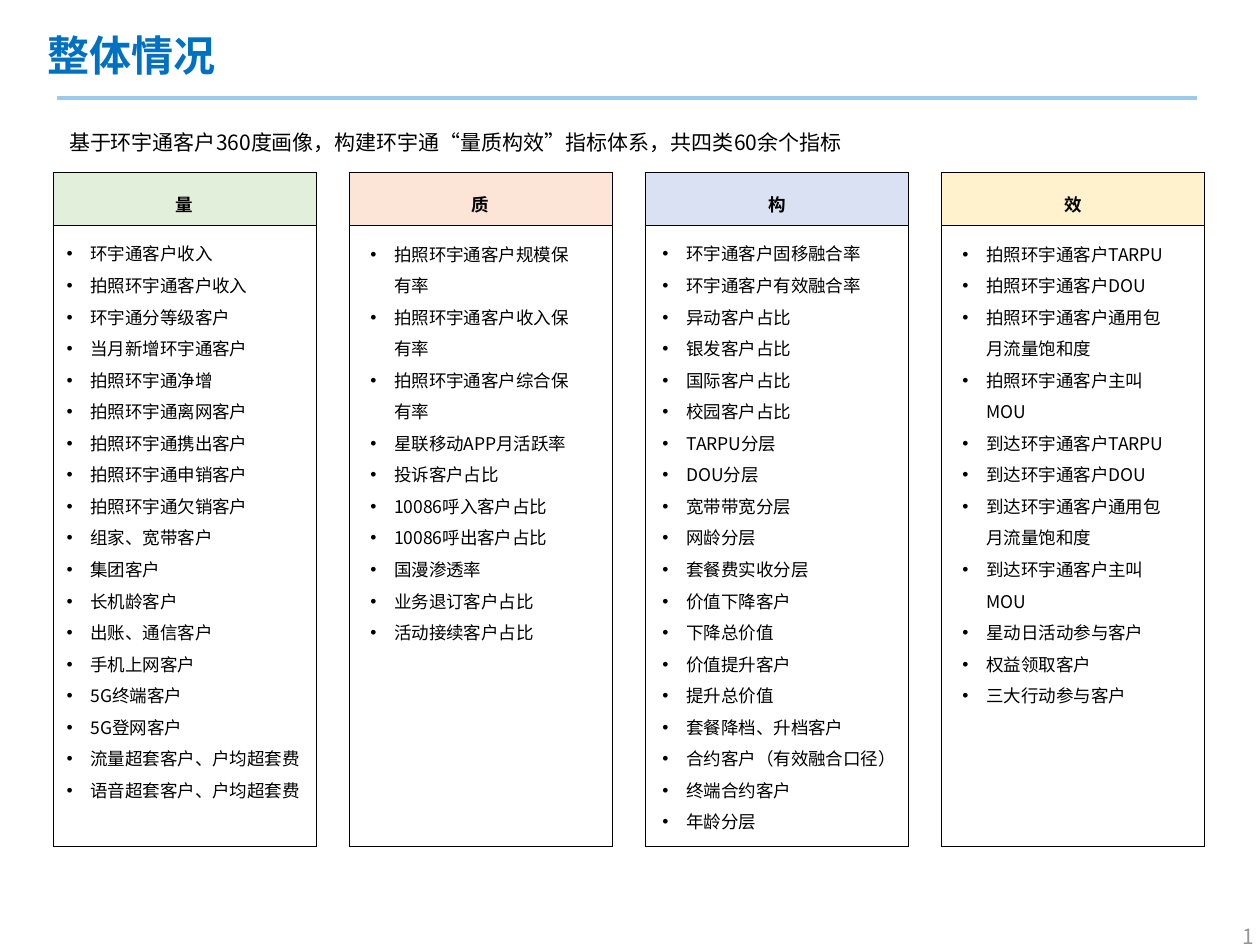
from lxml.etree import SubElement
from pptx import Presentation
from pptx.dml.color import RGBColor
from pptx.enum.shapes import MSO_CONNECTOR, MSO_SHAPE
from pptx.enum.text import MSO_ANCHOR, MSO_AUTO_SIZE, PP_ALIGN
from pptx.oxml.ns import qn
from pptx.util import Inches, Pt

COLORS = {
    "title": "0070C0", "rule": "9ACBEB", "text": "000000", "page": "969696",
    "white": "FFFFFF", "green": "E2EFDA", "orange": "FCE4D6",
    "blue": "D9E1F2", "yellow": "FFF2CC",
}

# Heading, header colour, list box (left, width, height), indicators
CATEGORIES = [
    ("量", "green", (0.43, 2.24, 4.64), [
        "环宇通客户收入", "拍照环宇通客户收入", "环宇通分等级客户", "当月新增环宇通客户",
        "拍照环宇通净增", "拍照环宇通离网客户", "拍照环宇通携出客户", "拍照环宇通申销客户",
        "拍照环宇通欠销客户", "组家、宽带客户", "集团客户", "长机龄客户", "出账、通信客户",
        "手机上网客户", "5G终端客户", "5G登网客户", "流量超套客户、户均超套费",
        "语音超套客户、户均超套费"]),
    ("质", "orange", (2.84, 1.81, 3.38), [
        "拍照环宇通客户规模保有率", "拍照环宇通客户收入保有率", "拍照环宇通客户综合保有率",
        "星联移动APP月活跃率", "投诉客户占比", "10086呼入客户占比", "10086呼出客户占比",
        "国漫渗透率", "业务退订客户占比", "活动接续客户占比"]),
    ("构", "blue", (5.16, 2.24, 4.9), [
        "环宇通客户固移融合率", "环宇通客户有效融合率", "异动客户占比", "银发客户占比",
        "国际客户占比", "校园客户占比", "TARPU分层", "DOU分层", "宽带带宽分层", "网龄分层",
        "套餐费实收分层", "价值下降客户", "下降总价值", "价值提升客户", "提升总价值",
        "套餐降档、升档客户", "合约客户（有效融合口径）", "终端合约客户", "年龄分层"]),
    ("效", "yellow", (7.54, 1.88, 3.89), [
        "拍照环宇通客户TARPU", "拍照环宇通客户DOU", "拍照环宇通客户通用包月流量饱和度",
        "拍照环宇通客户主叫MOU", "到达环宇通客户TARPU", "到达环宇通客户DOU",
        "到达环宇通客户通用包月流量饱和度", "到达环宇通客户主叫MOU", "星动日活动参与客户",
        "权益领取客户", "三大行动参与客户"]),
]


def rgb(name):
    return RGBColor.from_string(COLORS[name])


class SlideBuilder:
    font = "Noto Sans CJK SC"

    def __init__(self, slide):
        self.slide = slide

    def add_text(self, p, text, size, color="text", bold=False, align=PP_ALIGN.LEFT,
                 spacing=1.5, font=None):
        p.alignment, p.line_spacing = align, spacing
        r = p.add_run()
        r.text = text
        r.font.name = font or self.font
        r.font.size, r.font.bold = Pt(size), bold
        r.font.color.rgb = rgb(color)
        SubElement(r._r.get_or_add_rPr(), qn("a:ea"), typeface=font or self.font)

    def label(self, box, text, size, anchor=MSO_ANCHOR.TOP, **style):
        sp = self.slide.shapes.add_textbox(*map(Inches, box))
        tf = sp.text_frame
        tf.word_wrap, tf.vertical_anchor = True, anchor
        self.add_text(tf.paragraphs[0], text, size, **style)

    def banner(self, box, text):
        sp = self.slide.shapes.add_shape(MSO_SHAPE.RECTANGLE, *map(Inches, box))
        sp.shadow.inherit = False
        sp.fill.solid()
        sp.fill.fore_color.rgb = rgb("white")
        sp.line.fill.background()
        tf = sp.text_frame
        tf.word_wrap, tf.vertical_anchor = True, MSO_ANCHOR.TOP
        tf.auto_size = MSO_AUTO_SIZE.SHAPE_TO_FIT_TEXT
        self.add_text(tf.paragraphs[0], text, 12, align=PP_ALIGN.JUSTIFY)

    def bullets(self, box, items):
        sp = self.slide.shapes.add_textbox(*map(Inches, box))
        tf = sp.text_frame
        tf.word_wrap = True
        tf.auto_size = MSO_AUTO_SIZE.SHAPE_TO_FIT_TEXT
        for i, item in enumerate(items):
            p = tf.add_paragraph() if i else tf.paragraphs[0]
            pPr = p._p.get_or_add_pPr()
            pPr.set("marL", str(Inches(0.19)))
            pPr.set("indent", str(Inches(-0.19)))
            SubElement(pPr, qn("a:buFont"), typeface="Arial")
            SubElement(pPr, qn("a:buChar"), char="•")
            self.add_text(p, item, 10)

    def rule(self, x1, x2, y):
        line = self.slide.shapes.add_connector(
            MSO_CONNECTOR.STRAIGHT, *map(Inches, (x1, y, x2, y)))
        line.line.color.rgb, line.line.width = rgb("rule"), Pt(2.25)
        SubElement(line._element.spPr, qn("a:effectLst"))

    def borders(self, cell, shown):
        tcPr = cell._tc.get_or_add_tcPr()
        for side in "LRTB":
            ln = SubElement(tcPr, qn(f"a:ln{side}"), w=str(Pt(0.5)))
            if side in shown:
                fill = SubElement(ln, qn("a:solidFill"))
                SubElement(fill, qn("a:srgbClr"), val=COLORS["text"])
            else:
                SubElement(ln, qn("a:noFill"))

    def frame(self, left, top, col_w, gap, row_heights, headers):
        """Table with one framed column per header and open gap columns between."""
        widths = [gap if i % 2 else col_w for i in range(2 * len(headers) - 1)]
        box = (left, top, sum(widths), sum(row_heights))
        table = self.slide.shapes.add_table(
            len(row_heights), len(widths), *map(Inches, box)).table
        table.first_row = table.horz_banding = False
        for row, height in zip(table.rows, row_heights):
            row.height = Inches(height)
        for c, width in enumerate(widths):
            table.columns[c].width = Inches(width)
            for r in range(len(row_heights)):
                cell = table.cell(r, c)
                cell.margin_left = cell.margin_right = cell.margin_top = Inches(0.01)
                cell.margin_bottom = 0
                self.borders(cell, "LR" if c % 2 else "LRTB")
                if r or c % 2:
                    cell.fill.background()
                    continue
                heading, color = headers[c // 2]
                cell.fill.solid()
                cell.fill.fore_color.rgb = rgb(color)
                cell.vertical_anchor = MSO_ANCHOR.MIDDLE
                self.add_text(cell.text_frame.paragraphs[0], heading, 10, bold=True,
                              align=PP_ALIGN.CENTER, spacing=1.3)


def main():
    prs = Presentation()
    prs.slide_width, prs.slide_height = Inches(10), Inches(7.5)
    s = SlideBuilder(prs.slides.add_slide(prs.slide_layouts[6]))

    # Page number, title and rule
    s.label((9.5, 7.22, 0.55, 0.37), "1", 12, color="page", align=PP_ALIGN.RIGHT,
            spacing=1.3, font="Noto Sans CJK JP")
    s.rule(0.45, 9.5, 0.78)
    s.label((0.28, 0.16, 9.47, 0.6), "整体情况", 24, anchor=MSO_ANCHOR.MIDDLE,
            color="title", bold=True, spacing=0.9)

    # Summary sentence
    s.banner((0.45, 0.88, 9.1, 0.4),
             "基于环宇通客户360度画像，构建环宇通“量质构效”指标体系，共四类60余个指标")

    # Four framed categories with their indicators
    s.frame(0.42, 1.37, 2.09, 0.26, (0.42, 4.93),
            [(heading, color) for heading, color, _, _ in CATEGORIES])
    for _, _, (left, width, height), items in CATEGORIES:
        s.bullets((left, 1.8, width, height), items)

    prs.save("out.pptx")


if __name__ == "__main__":
    main()
